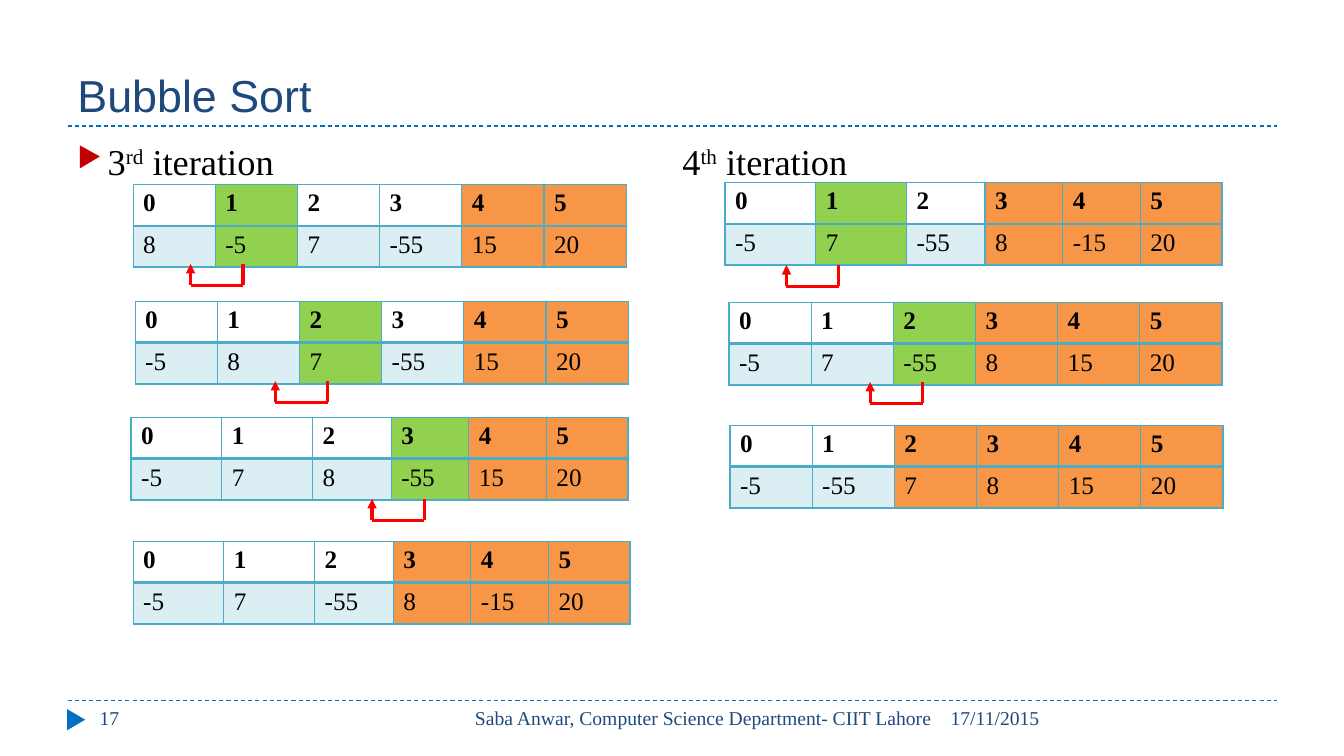
import pptx
import pptx.dml.color
import pptx.enum.dml
import pptx.enum.shapes
import pptx.enum.text
import pptx.oxml
import pptx.oxml.ns
import pptx.util

Inches = pptx.util.Inches
Pt = pptx.util.Pt
RGBColor = pptx.dml.color.RGBColor

COLORS = {
    "navy": "1F497D", "blue": "0070C0", "teal": "4BACC6", "bullet": "C00000",
    "black": "000000", "red": "FF0000", "active": "92D050", "sorted": "F79646",
}
SERIF = "Times New Roman"
FORMATS = {
    "title": {"size": Pt(32), "name": "Arial", "bold": False},
    "body": {"size": Pt(26), "name": SERIF, "bold": False},
    "footer": {"size": Pt(14), "name": SERIF, "bold": False},
    "index": {"size": Pt(18), "name": SERIF, "bold": True},
    "value": {"size": Pt(18), "name": SERIF, "bold": False},
}
EVEN_COLUMNS = [4.89 / 6] * 6
UNEVEN_COLUMNS = [0.9, 0.9, 0.78, 0.77, 0.77, 0.81]
ROW_HEIGHT = 0.41
SWAP_WIDTH, SWAP_HEIGHT = 0.52, 0.21


def xml_element(tag, parent=None, **attributes):
    """Make a DrawingML element, appended to parent when one is given."""
    element = pptx.oxml.parse_xml(f"<a:{tag} {pptx.oxml.ns.nsdecls('a')}/>")
    for name, value in attributes.items():
        element.set(name, str(value))
    if parent is not None:
        parent.append(element)
    return element


class SlideBuilder:
    """Holds the colours, the text formats and the slide being built."""

    def __init__(self, slide, colors, formats):
        self.slide = slide
        self.colors = colors
        self.formats = formats

    def rgb(self, color):
        return RGBColor.from_string(self.colors[color])

    def format_font(self, font, style, color):
        for name, value in self.formats[style].items():
            setattr(font, name, value)
        font.color.rgb = self.rgb(color)

    def text_box(self, left, top, width, height, **frame_format):
        """Add an empty text box and return its first paragraph."""
        box = self.slide.shapes.add_textbox(
            Inches(left), Inches(top), Inches(width), Inches(height))
        for name, value in {"word_wrap": True, **frame_format}.items():
            setattr(box.text_frame, name, value)
        return box.text_frame.paragraphs[0]

    def label(self, place, text, style, alignment=None, **frame_format):
        paragraph = self.text_box(*place, **frame_format)
        paragraph.alignment = alignment
        run = paragraph.add_run()
        run.text = text
        self.format_font(run.font, style, "navy")

    def iteration_headings(self, place, parts, tab_inches):
        """Add a bulleted line from (text, is_superscript) pairs."""
        paragraph = self.text_box(*place)
        properties = paragraph._p.get_or_add_pPr()
        properties.set("marL", str(Inches(0.3)))
        properties.set("indent", str(-Inches(0.3)))
        bullet_color = xml_element("buClr", properties)
        xml_element("srgbClr", bullet_color, val=self.colors["bullet"])
        xml_element("buSzPct", properties, val=76000)
        xml_element("buChar", properties, char="▶")
        tabs = xml_element("tabLst", properties)
        xml_element("tab", tabs, pos=Inches(tab_inches), algn="l")
        for text, is_superscript in parts:
            run = paragraph.add_run()
            run.text = text
            self.format_font(run.font, "body", "black")
            if is_superscript:
                run.font._element.set("baseline", "30000")

    def line(self, start, end, color, width, dashed=False, arrow=False):
        connector = self.slide.shapes.add_connector(
            pptx.enum.shapes.MSO_CONNECTOR.STRAIGHT,
            *(Inches(value) for value in (*start, *end)))
        connector.line.color.rgb = self.rgb(color)
        connector.line.width = Pt(width)
        if dashed:
            connector.line.dash_style = pptx.enum.dml.MSO_LINE.DASH
        if arrow:
            xml_element("tailEnd", connector.line._get_or_add_ln(), type="triangle")
        xml_element("effectLst", connector._element.spPr)

    def page_marker(self, left, top, width, height):
        marker = self.slide.shapes.add_shape(
            pptx.enum.shapes.MSO_SHAPE.ISOSCELES_TRIANGLE,
            Inches(left), Inches(top), Inches(width), Inches(height))
        marker.rotation = 90
        marker.shadow.inherit = False
        marker.fill.solid()
        marker.fill.fore_color.rgb = self.rgb("blue")
        marker.line.fill.background()

    def swap_arrow(self, left, top):
        """Draw the bracket that leads from a cell back to the one before."""
        right, bottom = left + SWAP_WIDTH, top + SWAP_HEIGHT
        self.line((left, bottom), (right, bottom), "red", 2.25)
        self.line((right, bottom), (right, top), "red", 2.25)
        self.line((left, bottom), (left, top), "red", 2.25, arrow=True)

    def border(self, cell, bottom_width):
        properties = cell._tc.get_or_add_tcPr()
        widths = {"lnL": 1, "lnR": 1, "lnT": 1, "lnB": bottom_width}
        for position, (side, width) in enumerate(widths.items()):
            edge = xml_element(side, w=Pt(width))
            fill = xml_element("solidFill", edge)
            xml_element("srgbClr", fill, val=self.colors["teal"])
            properties.insert(position, edge)

    def fill_cell(self, cell, color, is_index):
        if color is None and is_index:
            cell.fill.background()
            return
        cell.fill.solid()
        cell.fill.fore_color.rgb = self.rgb(color or "teal")
        if color is None:
            color_element = cell._tc.tcPr.find(".//" + pptx.oxml.ns.qn("a:srgbClr"))
            xml_element("alpha", color_element, val=20000)

    def array_table(self, left, top, columns, values, active, sorted_from):
        """Add indexes over values, marking the active and the sorted cells."""
        table = self.slide.shapes.add_table(
            2, len(values), Inches(left), Inches(top),
            Inches(sum(columns)), Inches(2 * ROW_HEIGHT)).table
        table.first_row = table.horz_banding = False
        for row in table.rows:
            row.height = Inches(ROW_HEIGHT)
        for index, (width, value) in enumerate(zip(columns, values)):
            table.columns[index].width = Inches(width)
            color = "sorted" if index >= sorted_from else None
            if index == active:
                color = "active"
            for row, (text, style) in enumerate([(index, "index"), (value, "value")]):
                cell = table.cell(row, index)
                cell.text = str(text)
                self.format_font(
                    cell.text_frame.paragraphs[0].runs[0].font, style, "black")
                self.fill_cell(cell, color, row == 0)
                self.border(cell, 2 if row == 0 else 1)


def main():
    presentation = pptx.Presentation()
    presentation.slide_width = Inches(13.33)
    presentation.slide_height = Inches(7.5)
    slide = presentation.slides.add_slide(presentation.slide_layouts[6])
    builder = SlideBuilder(slide, COLORS, FORMATS)

    for rule_top in (6.95, 1.25):
        builder.line((0.67, rule_top), (12.67, rule_top), "blue", 0.75, dashed=True)
    builder.page_marker(0.65, 7.05, 0.21, 0.18)
    builder.label((0.67, 0.17, 12, 1.08), "Bubble Sort", "title",
                  vertical_anchor=pptx.enum.text.MSO_ANCHOR.BOTTOM)
    builder.label((9.33, 6.95, 3.34, 0.4), "17/11/2015", "footer")
    builder.label((4.23, 6.95, 5.11, 0.4),
                  "Saba Anwar, Computer Science Department- CIIT Lahore", "footer",
                  pptx.enum.text.PP_ALIGN.RIGHT)
    builder.label((0.89, 6.95, 2.89, 0.4), "17", "footer")
    builder.iteration_headings(
        (0.67, 1.33, 12, 5.4),
        [("3", False), ("rd", True), (" iteration\t4", False),
         ("th", True), (" iteration", False)], 6)

    # left, top, columns, values, active index, first sorted index
    passes = [
        (1.32, 1.83, EVEN_COLUMNS, (8, -5, 7, -55, 15, 20), 1, 4),
        (1.34, 2.99, EVEN_COLUMNS, (-5, 8, 7, -55, 15, 20), 2, 4),
        (1.3, 4.14, UNEVEN_COLUMNS, (-5, 7, 8, -55, 15, 20), 3, 4),
        (1.32, 5.37, UNEVEN_COLUMNS, (-5, 7, -55, 8, -15, 20), None, 3),
        (7.19, 1.81, UNEVEN_COLUMNS, (-5, 7, -55, 8, -15, 20), 1, 3),
        (7.23, 3, EVEN_COLUMNS, (-5, 7, -55, 8, 15, 20), 2, 3),
        (7.24, 4.22, EVEN_COLUMNS, (-5, -55, 7, 8, 15, 20), None, 2),
    ]
    for array_pass in passes:
        builder.array_table(*array_pass)
    for left, top in [(1.89, 2.62), (2.73, 3.78), (3.69, 4.95), (7.8, 2.63), (8.63, 3.79)]:
        builder.swap_arrow(left, top)

    presentation.save("out.pptx")


if __name__ == "__main__":
    main()
